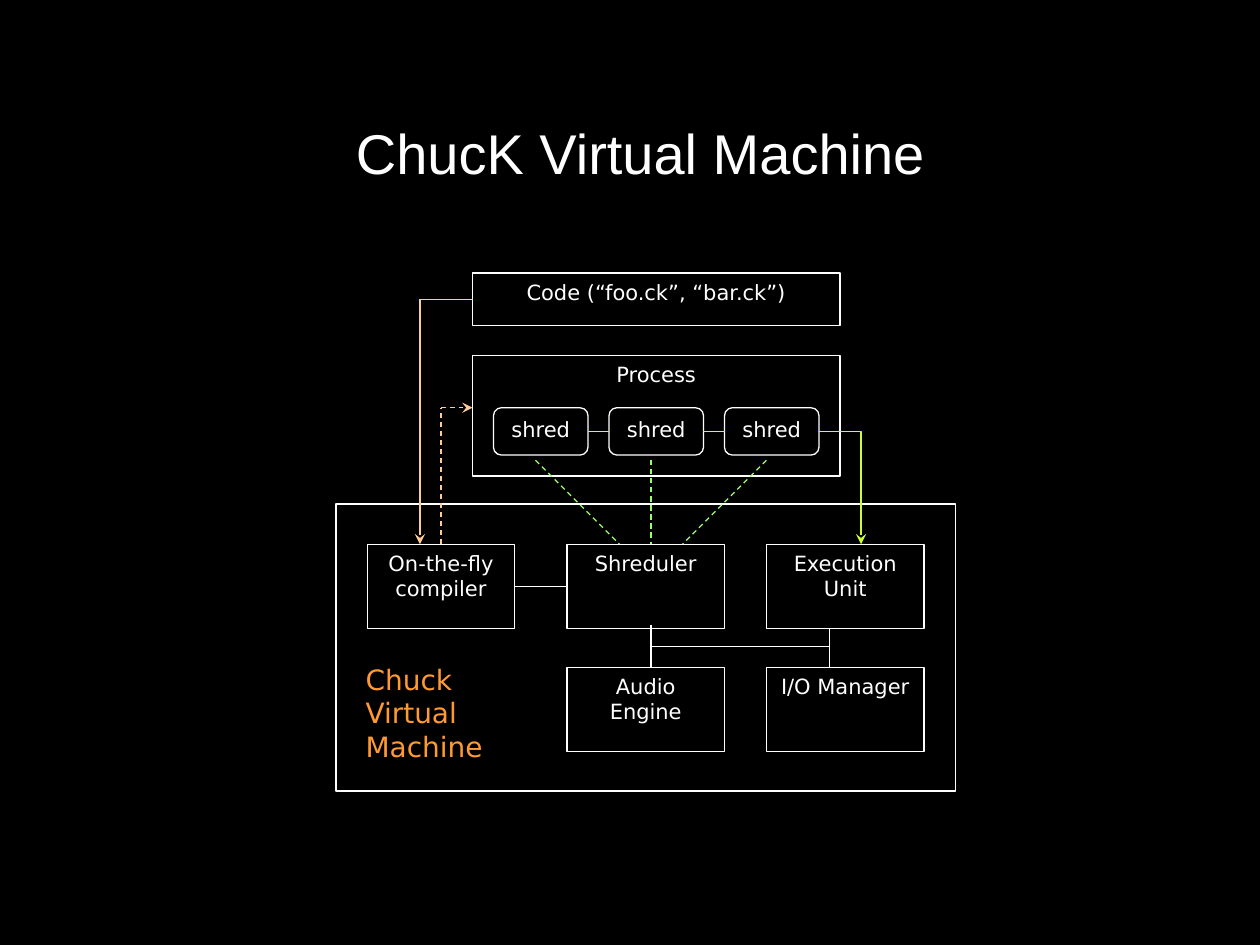
from lxml import etree
from pptx import Presentation
from pptx import util as u
from pptx.dml import color
from pptx.enum import dml, shapes, text
from pptx.oxml import ns

WHITE, BLACK, PEACH, ORANGE = "FFFFFF", "000000", "FFCC99", "FF9933"
GREEN, LIME = "99FF66", "CCFF33"
SHRED_COUNT, SHRED_PITCH = 3, 66


def rgb(value):
    return color.RGBColor.from_string(value)


def write(frame, words, size, font, hue, align):
    frame.text = words
    for paragraph in frame.paragraphs:
        paragraph.alignment = align
        for run in paragraph.runs:
            run.font.size = u.Pt(size)
            run.font.name = font
            run.font.color.rgb = rgb(hue)


def add_block(slide, box, words, kind=shapes.MSO_SHAPE.RECTANGLE, fill=BLACK):
    block = slide.shapes.add_shape(kind, *map(u.Pt, box))
    block.shadow.inherit = False
    if fill:
        block.fill.solid()
        block.fill.fore_color.rgb = rgb(fill)
    else:
        block.fill.background()
    block.line.color.rgb = rgb(WHITE)
    block.line.width = u.Pt(0.75)
    frame = block.text_frame
    frame.word_wrap = True
    frame.vertical_anchor = text.MSO_ANCHOR.TOP
    write(frame, words, 12, "DejaVu Sans", WHITE, text.PP_ALIGN.CENTER)
    return block


def add_link(slide, start, end, hue, dashed=False, arrow=False, begin=None,
             finish=None, bent=False):
    kind = shapes.MSO_CONNECTOR.ELBOW if bent else shapes.MSO_CONNECTOR.STRAIGHT
    link = slide.shapes.add_connector(kind, *map(u.Pt, (*start, *end)))
    if begin:
        link.begin_connect(*begin)
    if finish:
        link.end_connect(*finish)
    link.line.color.rgb = rgb(hue)
    link.line.width = u.Pt(0.75)
    if dashed:
        link.line.dash_style = dml.MSO_LINE.DASH
    properties = link._element.spPr
    if bent:
        properties.find(ns.qn("a:prstGeom")).set("prst", "bentConnector2")
    if arrow:
        etree.SubElement(properties.find(ns.qn("a:ln")), ns.qn("a:tailEnd"), type="stealth")
    etree.SubElement(properties, ns.qn("a:effectLst"))


def place_title(slide, box):
    title = slide.shapes.title
    title.left, title.top, title.width, title.height = map(u.Pt, box)
    title.text_frame.vertical_anchor = text.MSO_ANCHOR.MIDDLE
    write(title.text_frame, "ChucK Virtual Machine", 32, "Arial", WHITE, text.PP_ALIGN.CENTER)


def place_process(slide, box):
    left, top, _, _ = box
    add_block(slide, box, "Process")
    shreds = [
        add_block(slide, (left + 12 + i * SHRED_PITCH, top + 30, 54, 27), "shred",
                  shapes.MSO_SHAPE.ROUNDED_RECTANGLE)
        for i in range(SHRED_COUNT)
    ]
    for before, after in zip(shreds, shreds[1:]):
        add_link(slide, (0, 0), (0, 0), LIME, begin=(before, 3), finish=(after, 1))


def place_machine(slide, box):
    left, top, _, _ = box
    outline = add_block(slide, box, "", fill=None)
    frame = outline.text_frame
    frame.vertical_anchor = text.MSO_ANCHOR.BOTTOM
    frame.margin_left, frame.margin_bottom = u.Pt(17), u.Pt(16)
    write(frame, "Chuck\nVirtual\nMachine", 16, "DejaVu Sans", ORANGE, text.PP_ALIGN.LEFT)

    middle, right = left + 132, left + 246
    upper, lower = top + 23, top + 93.5
    compiler = add_block(slide, (left + 18, upper, 84, 48), "On-the-fly compiler")
    shreduler, _, _, _ = [
        add_block(slide, (x, y, 90, 48), words)
        for x, y, words in (
            (middle, upper, "Shreduler"),
            (right, upper, "Execution Unit"),
            (middle, lower, "Audio Engine"),
            (right, lower, "I/O Manager"),
        )
    ]
    add_link(slide, (0, 0), (0, 0), WHITE, begin=(compiler, 3), finish=(shreduler, 1))
    engine_x, manager_x, bus_y = middle + 48, right + 36, top + 81.5
    add_link(slide, (engine_x, bus_y), (manager_x, bus_y), WHITE)
    add_link(slide, (engine_x, upper + 46), (engine_x, lower), WHITE)
    add_link(slide, (manager_x, upper + 48), (manager_x, lower), WHITE)
    return compiler


def place_flows(slide, code, compiler, process_box, machine_box):
    process_left, process_top, process_width, _ = process_box
    machine_left, machine_top, _, _ = machine_box
    unit_top = machine_top + 23

    code_x, code_y = machine_left + 48, (code.top + code.height / 2) / u.Pt(1)
    add_link(slide, (process_left, code_y), (code_x, code_y), PEACH, begin=(code, 1))
    add_link(slide, (code_x, code_y), (code_x, unit_top), PEACH, arrow=True)

    result_x, result_y = machine_left + 60, process_top + 30
    add_link(slide, (result_x, unit_top), (result_x, result_y), PEACH, dashed=True,
             begin=(compiler, 0))
    add_link(slide, (result_x, result_y), (process_left, result_y), PEACH, dashed=True,
             arrow=True)

    for i in range(SHRED_COUNT):
        add_link(slide, (process_left + 36 + i * SHRED_PITCH, process_top + 60),
                 (machine_left + 162 + i * 18, unit_top), GREEN, dashed=True)

    process_right = process_left + process_width
    add_link(slide, (process_right - 12, process_top + 43.5), (process_right + 12, unit_top),
             LIME, arrow=True, bent=True)


def main():
    deck = Presentation()
    deck.slide_width, deck.slide_height = u.Pt(720), u.Pt(540)
    slide = deck.slides.add_slide(deck.slide_layouts[5])
    slide.background.fill.solid()
    slide.background.fill.fore_color.rgb = rgb(BLACK)

    process_box, machine_box = (270, 203, 210, 69), (192, 288, 354, 164)
    place_title(slide, (60, 42, 612, 90))
    code = add_block(slide, (270, 156, 210, 30), "Code (“foo.ck”, “bar.ck”)")
    place_process(slide, process_box)
    compiler = place_machine(slide, machine_box)
    place_flows(slide, code, compiler, process_box, machine_box)
    deck.save("out.pptx")


if __name__ == "__main__":
    main()
